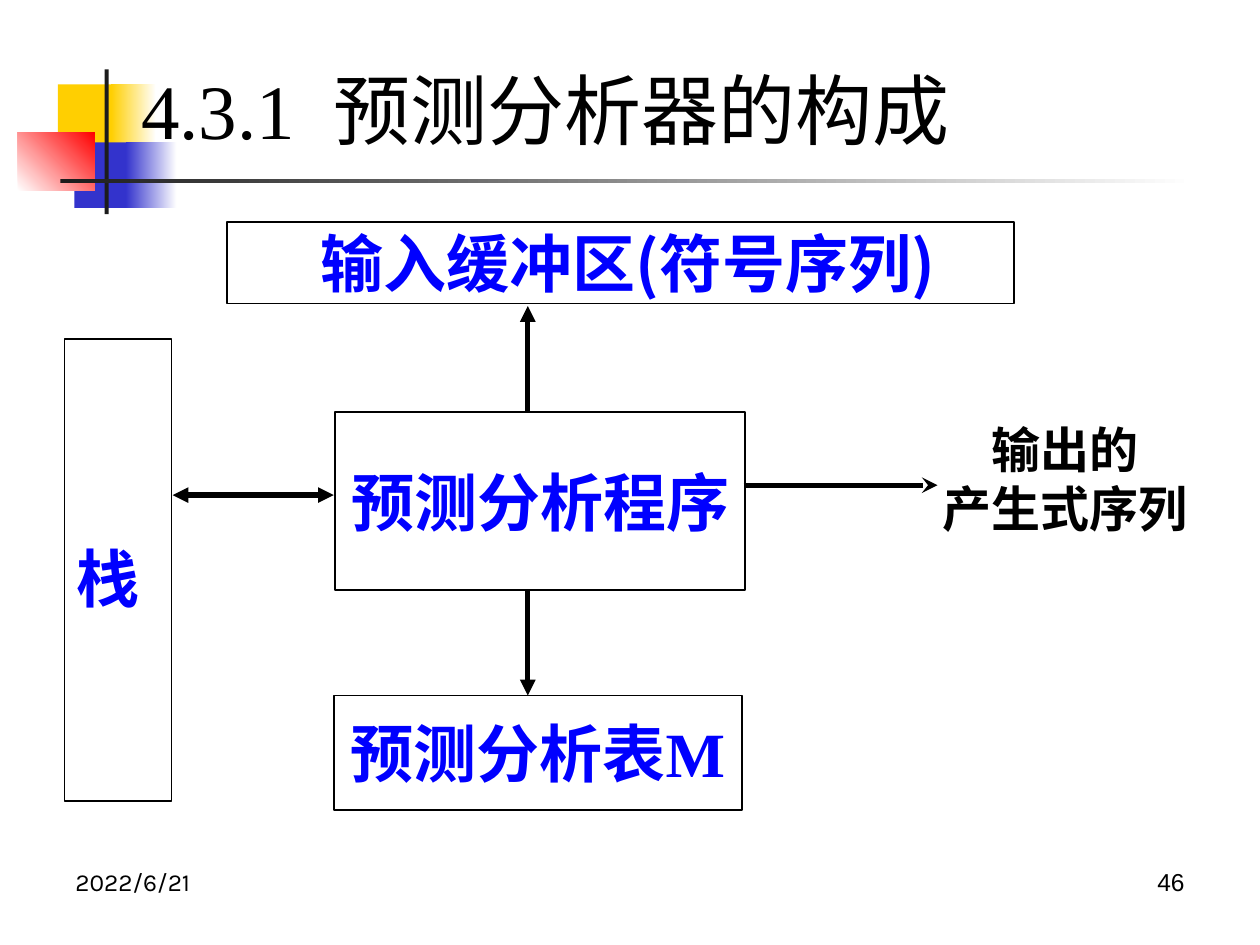
from lxml.etree import SubElement
from pptx import Presentation
from pptx.dml.color import RGBColor
from pptx.enum.shapes import MSO_CONNECTOR, MSO_SHAPE
from pptx.enum.text import MSO_ANCHOR, PP_ALIGN
from pptx.oxml.ns import qn
from pptx.util import Cm, Pt

SERIF, SANS = "Times New Roman", "Noto Sans CJK SC"
BLACK, BLUE, WHITE = "000000", "0000FF", "FFFFFF"
YELLOW, INDIGO, RED, CHARCOAL = "FFCF01", "3333CC", "FF0000", "1C1C1C"

# Places are left, top, width, height in cm.
# Ornaments: place, colours (two make a gradient), gradient angle
ORNAMENTS = [
    ((1.17, 1.7, 1.22, 1.32), [YELLOW], 0),
    ((2.24, 1.7, 0.91, 1.32), [YELLOW, WHITE], 0),
    ((1.5, 2.87, 1.17, 1.32), [INDIGO], 0),
    ((2.54, 2.87, 1.02, 1.32), [INDIGO, WHITE], 0),
    ((0.36, 2.67, 1.55, 1.17), [WHITE, RED], 45),
    ((2.11, 1.4, 0.08, 2.92), [CHARCOAL], 0),
    ((1.22, 3.61, 22.86, 0.08), [CHARCOAL, WHITE], 0),
]

TITLE = ((2.59, 0.84, 18.64, 2.69), "4.3.1  预测分析器的构成")

# Components: place, runs of (text, font), alignment, line spacing
COMPONENTS = [
    ((4.57, 4.47, 15.88, 1.65), [(" ", SERIF), ("输入缓冲区(符号序列)", SANS)],
     PP_ALIGN.CENTER, 1.0),
    ((1.3, 6.83, 2.16, 9.32), [("栈", SERIF)], PP_ALIGN.LEFT, 1.2),
    ((6.76, 8.31, 8.26, 3.58), [("预测分析程序", SERIF)], PP_ALIGN.CENTER, 1.0),
    ((6.73, 14.02, 8.23, 2.31), [("预测分析表", SANS), ("M", SERIF)],
     PP_ALIGN.CENTER, 1.0),
]

# Flows: start, end, arrowhead at start, arrowhead at end
FLOWS = [
    ((10.64, 8.28), (10.64, 6.17), None, "triangle"),
    ((6.73, 9.98), (3.48, 9.98), "triangle", "triangle"),
    ((10.64, 11.89), (10.64, 14.02), None, "triangle"),
    ((14.99, 9.78), (18.9, 9.78), None, "stealth"),
]

# Labels: place, lines, font, size, bold, alignment
LABELS = [
    ((18.39, 8.33, 6.15, 2.64), ["输出的", "产生式序列"], SERIF, 28, True, PP_ALIGN.CENTER),
    ((1.27, 17.35, 5.92, 1.32), ["2022/6/21"], "Karla", 14, False, PP_ALIGN.LEFT),
    ((18.21, 17.35, 5.92, 1.32), ["46"], "Arial", 14, False, PP_ALIGN.RIGHT),
]


def rgb(colour):
    return RGBColor.from_string(colour)


def cm(place):
    return [Cm(length) for length in place]


def add_run(paragraph, text, font, size, colour, bold):
    run = paragraph.add_run()
    run.text = text
    for name, value in {"name": font, "size": Pt(size), "bold": bold}.items():
        setattr(run.font, name, value)
    run.font.color.rgb = rgb(colour)
    SubElement(run.font._element, qn("a:ea")).set("typeface", SANS)


def add_rectangle(slide, place):
    rectangle = slide.shapes.add_shape(MSO_SHAPE.RECTANGLE, *cm(place))
    rectangle.shadow.inherit = False
    return rectangle


def add_ornament(slide, place, colours, angle):
    ornament = add_rectangle(slide, place)
    ornament.line.fill.background()
    if len(colours) == 1:
        ornament.fill.solid()
        ornament.fill.fore_color.rgb = rgb(colours[0])
        return
    ornament.fill.gradient()
    ornament.fill.gradient_angle = angle
    for stop, colour in zip(ornament.fill.gradient_stops, colours):
        stop.color.rgb = rgb(colour)


def add_component(slide, place, runs, alignment, spacing):
    component = add_rectangle(slide, place)
    component.fill.background()
    component.line.color.rgb = rgb(BLACK)
    component.line.width = Pt(1)
    frame = component.text_frame
    frame.word_wrap = False
    frame.vertical_anchor = MSO_ANCHOR.MIDDLE
    paragraph = frame.paragraphs[0]
    paragraph.alignment = alignment
    paragraph.line_spacing = spacing
    for text, font in runs:
        add_run(paragraph, text, font, 36, BLUE, True)


def add_flow(slide, start, end, start_head, end_head):
    flow = slide.shapes.add_connector(MSO_CONNECTOR.STRAIGHT, *cm(start + end))
    flow.line.color.rgb = rgb(BLACK)
    flow.line.width = Pt(3)
    for tag, head in (("a:headEnd", start_head), ("a:tailEnd", end_head)):
        if head:
            SubElement(flow.line._get_or_add_ln(), qn(tag)).set("type", head)
    SubElement(flow._element.spPr, qn("a:effectLst"))


def add_label(slide, place, lines, font, size, bold, alignment):
    frame = slide.shapes.add_textbox(*cm(place)).text_frame
    frame.word_wrap = True
    for index, text in enumerate(lines):
        paragraph = frame.add_paragraph() if index else frame.paragraphs[0]
        paragraph.alignment = alignment
        add_run(paragraph, text, font, size, BLACK, bold)


def set_title(slide, place, text):
    """Fill the title placeholder and bring it in front of the ornaments."""
    title = slide.shapes.title
    title.left, title.top, title.width, title.height = cm(place)
    title.text_frame.vertical_anchor = MSO_ANCHOR.MIDDLE
    paragraph = title.text_frame.paragraphs[0]
    paragraph.alignment = PP_ALIGN.LEFT
    add_run(paragraph, text, SERIF, 44, BLACK, False)
    title._element.getparent().append(title._element)


def main():
    deck = Presentation()
    deck.slide_width, deck.slide_height = cm((25.4, 19.05))
    slide = deck.slides.add_slide(deck.slide_layouts[5])
    for ornament in ORNAMENTS:
        add_ornament(slide, *ornament)
    set_title(slide, *TITLE)
    for component in COMPONENTS:
        add_component(slide, *component)
    for flow in FLOWS:
        add_flow(slide, *flow)
    for label in LABELS:
        add_label(slide, *label)
    deck.save("out.pptx")


if __name__ == "__main__":
    main()
